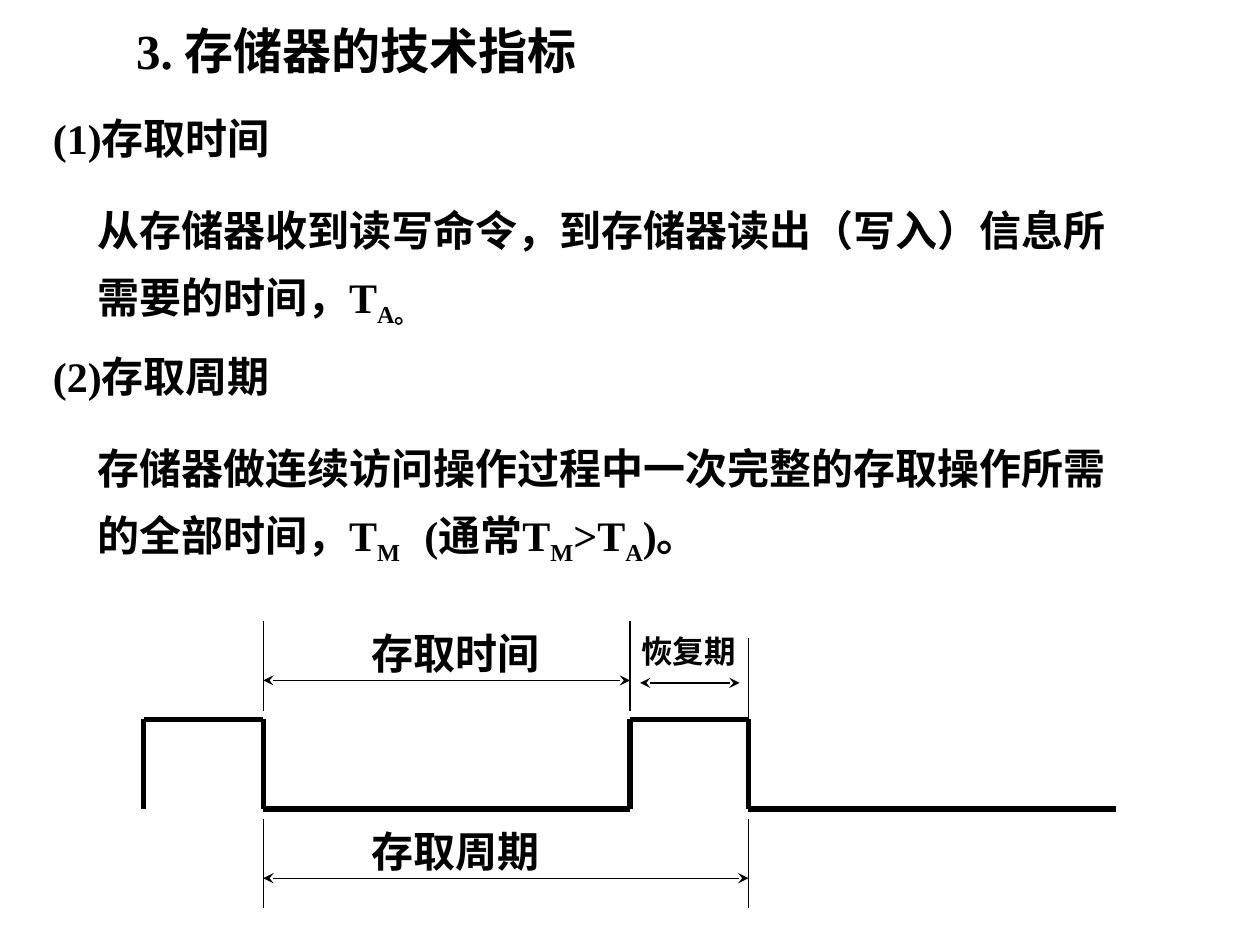
import pptx
import pptx.dml.color
import pptx.enum.shapes
import pptx.enum.text
import pptx.oxml.ns
import pptx.util
from dataclasses import dataclass
from itertools import pairwise
from lxml import etree

Inches = pptx.util.Inches
Pt = pptx.util.Pt
Align = pptx.enum.text.PP_ALIGN
qn = pptx.oxml.ns.qn


@dataclass(frozen=True)
class Theme:
    """Colours, fonts, type sizes and line widths of the slide."""

    ink: pptx.dml.color.RGBColor = pptx.dml.color.RGBColor(0, 0, 0)
    latin: str = "Times New Roman"
    chinese: str = "Noto Sans CJK SC"
    title: int = 28
    body: int = 24
    small: int = 18
    leading: int = 42
    thick: float = 3
    thin: float = 0.75


class SlideBuilder:
    """Adds styled elements to the current slide."""

    def __init__(self, slide, theme):
        self.slide = slide
        self.theme = theme

    def set_text(self, shape, box, runs, size, font, align=Align.LEFT, leading=None):
        """Place a shape and fill it with (text, is_subscript) runs."""
        shape.left, shape.top, shape.width, shape.height = map(Inches, box)
        frame = shape.text_frame
        frame.word_wrap = True
        frame.auto_size = pptx.enum.text.MSO_AUTO_SIZE.SHAPE_TO_FIT_TEXT
        frame.vertical_anchor = pptx.enum.text.MSO_ANCHOR.TOP
        paragraph = frame.paragraphs[0]
        paragraph.alignment = align
        paragraph.space_before = Pt(0)
        if leading:
            paragraph.line_spacing = Pt(leading)
        properties = paragraph._p.get_or_add_pPr()
        properties.set("marL", "0")
        properties.set("indent", "0")
        etree.SubElement(properties, qn("a:buNone"))
        for text, is_subscript in runs:
            run = paragraph.add_run()
            run.text = text
            run.font.size = Pt(size)
            run.font.bold = True
            run.font.name = font
            run.font.color.rgb = self.theme.ink
            run_properties = run._r.get_or_add_rPr()
            east_asian = etree.SubElement(run_properties, qn("a:ea"))
            east_asian.set("typeface", self.theme.chinese)
            if is_subscript:
                run_properties.set("baseline", "-25000")

    def placeholder(self, index, box, runs, size, leading=None):
        """Fill one of the layout's placeholders."""
        shape = self.slide.placeholders[index]
        self.set_text(shape, box, runs, size, self.theme.latin, leading=leading)

    def label(self, box, text, size):
        """Add a centred diagram label."""
        shape = self.slide.shapes.add_textbox(*map(Inches, box))
        self.set_text(shape, box, [(text, False)], size, self.theme.chinese, Align.CENTER)

    def line(self, start, end, width, arrows=False):
        """Add a straight line, with arrowheads at both ends if asked."""
        connector = self.slide.shapes.add_connector(
            pptx.enum.shapes.MSO_CONNECTOR.STRAIGHT, *map(Inches, (*start, *end))
        )
        connector.line.color.rgb = self.theme.ink
        connector.line.width = Pt(width)
        if arrows:
            outline = connector.line._get_or_add_ln()
            for tag in ("a:headEnd", "a:tailEnd"):
                etree.SubElement(outline, qn(tag)).set("type", "stealth")
        etree.SubElement(connector._element.spPr, qn("a:effectLst"))


presentation = pptx.Presentation()
presentation.slide_width = Inches(10)
presentation.slide_height = Inches(7.5)
comparison_layout = presentation.slide_layouts[4]
slide = presentation.slides.add_slide(comparison_layout)
theme = Theme()
builder = SlideBuilder(slide, theme)

builder.placeholder(0, (0.98, 0.11, 4.02, 0.57), [("3. 存储器的技术指标", False)], theme.title)

access_time = [
    ("从存储器收到读写命令，到存储器读出（写入）信息所需要的时间，T", False),
    ("A。", True),
]
access_cycle = [
    ("存储器做连续访问操作过程中一次完整的存取操作所需的全部时间，T", False),
    ("M\u2003", True),
    ("(通常T", False),
    ("M", True),
    (">T", False),
    ("A", True),
    (")。", False),
]
sections = [
    (1, 0.84, "(1)存取时间", 8.5, access_time),
    (3, 2.73, "(2)存取周期", 8.35, access_cycle),
]
for index, top, heading, width, definition in sections:
    builder.placeholder(index, (0.32, top, 4, 0.5), [(heading, False)], theme.body)
    builder.placeholder(
        index + 1, (0.67, top + 0.55, width, 1.21), definition, theme.body, theme.leading
    )

rise, fall, ready, restored, finish = 1.14, 2.09, 5, 5.94, 8.86
high, low = 5.71, 6.42
wave = [
    (rise, low), (rise, high), (fall, high), (fall, low), (ready, low),
    (ready, high), (restored, high), (restored, low), (finish, low),
]
for start, end in pairwise(wave):
    builder.line(start, end, theme.thick)

marker_height = 0.71
for x, top in [(fall, 4.93), (ready, 4.93), (restored, 5.06), (fall, 6.5), (restored, 6.5)]:
    builder.line((x, top), (x, top + marker_height), theme.thin)

for left, right, y in [(fall, ready, 5.4), (5.08, 5.87, 5.42), (fall, restored, 6.97)]:
    builder.line((left, y), (right, y), theme.thin, arrows=True)

builder.label((2.64, 4.93, 1.95, 0.5), "存取时间", theme.body)
builder.label((4.49, 4.97, 1.95, 0.4), "恢复期", theme.small)
builder.label((2.64, 6.5, 1.95, 0.5), "存取周期", theme.body)

presentation.save("out.pptx")
